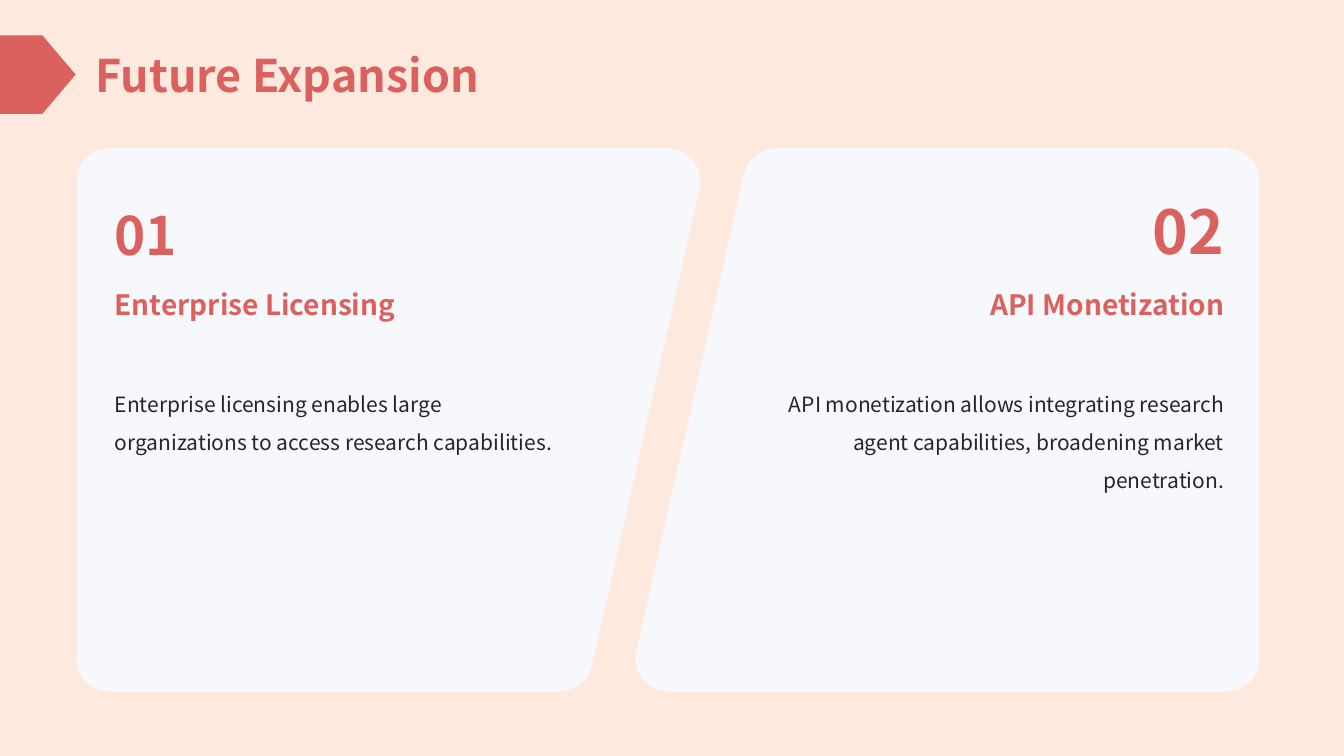
from lxml import etree
from pptx import Presentation
from pptx import util as u
from pptx.dml import color
from pptx.enum import shapes, text
from pptx.oxml import ns

PX = 9144
FONT = "Noto Sans CJK SC"
CORAL, PEACH, CARD, INK = "DB615E", "FDE9DE", "F7F8FC", "262626"

CARD_START = (0, 32)
CARD_EDGES = [
    [(0, 507)],
    [(0, 525), (15, 539), (34, 539)],
    [(477, 539)],
    [(493, 539), (507, 529), (511, 514)],
    [(618, 39)],
    [(623, 19), (606, 0), (585, 0)],
    [(34, 0)],
    [(15, 0), (0, 14), (0, 32)],
]


def rgb(value):
    return color.RGBColor.from_string(value)


def paint(shape, fill):
    shape.shadow.inherit = False
    shape.fill.solid()
    shape.fill.fore_color.rgb = rgb(fill)
    shape.line.fill.background()


def add_text(slide, box, content, size, ink=CORAL, bold=False, align=text.PP_ALIGN.LEFT,
             anchor=text.MSO_ANCHOR.TOP, spacing=None):
    frame = slide.shapes.add_textbox(*(n * PX for n in box)).text_frame
    frame.word_wrap = True
    frame.vertical_anchor = anchor
    paragraph = frame.paragraphs[0]
    paragraph.alignment = align
    paragraph.line_spacing = spacing
    run = paragraph.add_run()
    run.text = content
    run.font.name = FONT
    run.font.size = u.Pt(size)
    run.font.bold = bold
    run.font.color.rgb = rgb(ink)


def add_panel(slide, box, turned):
    left, top, width, height = box

    def spot(point):
        x, y = point
        if turned:
            x, y = width - x, height - y
        return (left + x) * PX, (top + y) * PX

    edges = [[spot(point) for point in edge] for edge in CARD_EDGES]
    builder = slide.shapes.build_freeform(*spot(CARD_START))
    builder.add_line_segments([edge[-1] for edge in edges], close=True)
    panel = builder.convert_to_shape()
    paint(panel, CARD)

    straights = list(panel._element.iter(ns.qn("a:lnTo")))
    for straight, edge in zip(straights, edges):
        if len(edge) == 3:
            curve = etree.Element(ns.qn("a:cubicBezTo"))
            for x, y in edge:
                etree.SubElement(curve, ns.qn("a:pt"),
                                 x=str(x - panel.left), y=str(y - panel.top))
            straight.getparent().replace(straight, curve)


def add_card(slide, box, number, number_size, heading, body, turned=False):
    left, top, width, height = box
    add_panel(slide, box, turned)
    align = text.PP_ALIGN.RIGHT if turned else text.PP_ALIGN.LEFT

    def place(y, w, h):
        return left + (width - 25 - w if turned else 28), top + y, w, h

    add_text(slide, place(31, 94, 91), number, number_size, bold=True, align=align,
             anchor=text.MSO_ANCHOR.BOTTOM)
    add_text(slide, place(130, 477, 91), heading, 20, bold=True, align=align, spacing=1.1)
    add_text(slide, place(224, 476, 261), body, 15, ink=INK, align=align, spacing=1.5)


def add_header(slide, box, title):
    left, top, width, height = box
    marker = slide.shapes.add_shape(shapes.MSO_SHAPE.PENTAGON, left * PX, top * PX,
                                    75 * PX, height * PX)
    marker.adjustments[0] = 0.44
    paint(marker, CORAL)
    add_text(slide, (left + 85, top, width - 85, height), title, 32, bold=True,
             anchor=text.MSO_ANCHOR.MIDDLE)


def main():
    deck = Presentation()
    deck.slide_width, deck.slide_height = 1333 * PX, 750 * PX
    slide = deck.slides.add_slide(deck.slide_layouts[6])
    slide.background.fill.solid()
    slide.background.fill.fore_color.rgb = rgb(PEACH)

    add_card(slide, (76, 147, 619, 539), "01", 37.8, "Enterprise Licensing",
             "Enterprise licensing enables large organizations to access research capabilities.")
    add_card(slide, (630, 147, 619, 539), "02", 43.2, "API Monetization",
             "API monetization allows integrating research agent capabilities, "
             "broadening market penetration.", turned=True)
    add_header(slide, (0, 35, 1266, 78), "Future Expansion")
    deck.save("out.pptx")


if __name__ == "__main__":
    main()
